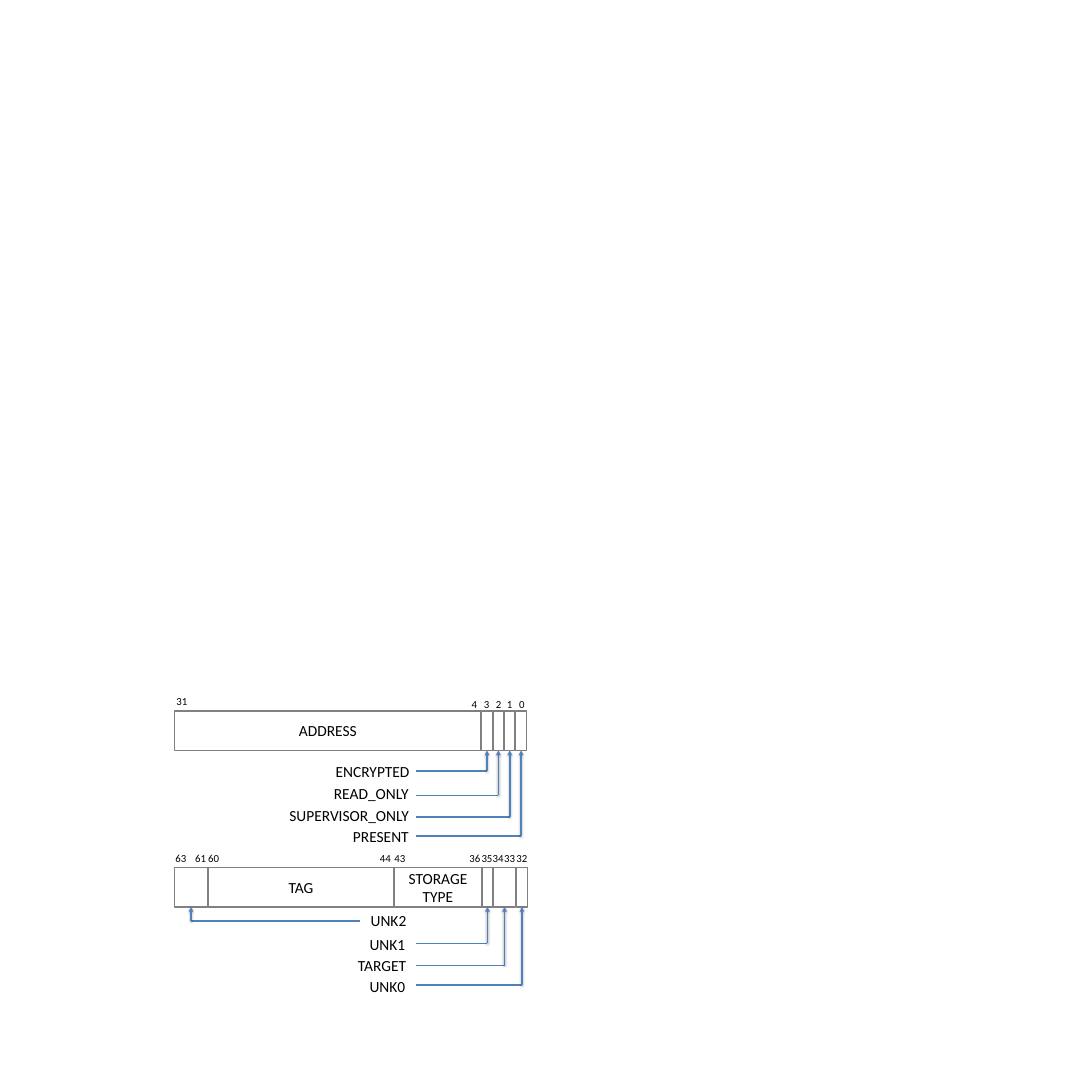
from pptx import Presentation
from pptx.dml.color import RGBColor
from pptx.enum import shapes, text
from pptx.oxml import ns, xmlchemy
from pptx.util import Cm, Pt

WHITE = RGBColor(0xFF, 0xFF, 0xFF)
BLACK = RGBColor(0, 0, 0)
GRAY = RGBColor(0x80, 0x80, 0x80)
BLUE = RGBColor(0x4F, 0x81, 0xBD)
HIGH = 1.8  # height of a register bar

# Registers: bar top, fields (name, left, width),
# bits (number, centre, top), labels (name, centre, top, width, line start, line height)
WORDS = [
    (32.56,
     [("ADDRESS", 8, 14.02), ("ENCRYPTED", 22.05, 0.5), ("READ_ONLY", 22.57, 0.5),
      ("SUPERVISOR_ONLY", 23.09, 0.5), ("PRESENT", 23.61, 0.5)],
     [("31", 8.33, 31.7), ("4", 21.72, 31.8), ("3", 22.28, 31.8), ("2", 22.83, 31.8),
      ("1", 23.34, 31.8), ("0", 23.9, 31.8)],
     [("ENCRYPTED", 17.06, 34.75, 4.2, 19.05, 35.31),
      ("READ_ONLY", 17, 35.79, 4.2, 19.05, 36.42),
      ("SUPERVISOR_ONLY", 15.99, 36.8, 6.63, 19.05, 37.4),
      ("PRESENT", 17.44, 37.74, 4.2, 19.05, 38.28)]),
    (39.73,
     [("UNK2", 8, 1.5), ("TAG", 9.53, 8.5), ("STORAGE\nTYPE", 18.06, 3.99),
      ("UNK1", 22.07, 0.5), ("TARGET", 22.6, 1), ("UNK0", 23.65, 0.5)],
     [("63", 8.28, 38.86), ("61", 9.19, 38.86), ("60", 9.78, 38.86), ("44", 17.65, 38.86),
      ("43", 18.31, 38.86), ("36", 21.74, 38.86), ("35", 22.3, 38.86), ("34", 22.81, 38.86),
      ("33", 23.34, 38.86), ("32", 23.9, 38.86)],
     [("UNK2", 17.79, 41.61, 4.2, 16.48, 42.16),
      ("UNK1", 17.74, 42.67, 4.2, 19.05, 43.2),
      ("TARGET", 17.49, 43.66, 6.63, 19.05, 44.2),
      ("UNK0", 17.74, 44.6, 4.2, 19.05, 45.09)]),
]

deck = Presentation()
deck.slide_width = deck.slide_height = Cm(50)
slide = deck.slides.add_slide(deck.slide_layouts[6])
items = slide.shapes


def write(shape, words, size):
    frame = shape.text_frame
    frame.word_wrap = True
    for i, line in enumerate(words.split("\n")):
        para = frame.add_paragraph() if i else frame.paragraphs[0]
        para.alignment = text.PP_ALIGN.CENTER
        run = para.add_run()
        run.text = line
        run.font.name = "Calibri"
        run.font.size = Pt(size)
        run.font.color.rgb = BLACK


def draw(x1, y1, x2, y2):
    line = items.add_connector(shapes.MSO_CONNECTOR.STRAIGHT, x1, y1, x2, y2)
    line.line.color.rgb = BLUE
    line.line.width = Pt(2)
    return line


for top, fields, bits, labels in WORDS:
    # Fields of the register; those with a label below stay empty
    outer = [label[0] for label in labels]
    bars = {}
    for name, left, width in fields:
        bar = items.add_shape(shapes.MSO_SHAPE.RECTANGLE, Cm(left), Cm(top), Cm(width), Cm(HIGH))
        bar.shadow.inherit = False
        bar.fill.solid()
        bar.fill.fore_color.rgb = WHITE
        bar.line.color.rgb = GRAY
        bar.line.width = Pt(2)
        if name not in outer:
            write(bar, name, 20)
        bars[name] = bar

    # Bit numbers and field labels
    notes = [(name, mid, y, 1.83, 0.84, 14) for name, mid, y in bits]
    notes += [(name, mid, y, width, 1.09, 20) for name, mid, y, width, *_ in labels]
    for name, mid, y, width, height, size in notes:
        box = items.add_textbox(Cm(mid - width / 2), Cm(y), Cm(width), Cm(height))
        write(box, name, size)
        box.text_frame.auto_size = text.MSO_AUTO_SIZE.SHAPE_TO_FIT_TEXT

    # Leaders from each label to its field; only the arrows keep the theme shadow
    for name, *_, start, level in labels:
        bar = bars[name]
        mid = bar.left + bar.width // 2
        lead = draw(Cm(start), Cm(level), mid, Cm(level))
        lead._element.spPr.append(xmlchemy.OxmlElement("a:effectLst"))
        arrow = draw(mid, Cm(level), mid, bar.top + bar.height)
        arrow.end_connect(bar, 2)
        head = xmlchemy.OxmlElement("a:tailEnd")
        head.set("type", "triangle")
        arrow._element.spPr.find(ns.qn("a:ln")).append(head)

deck.save("out.pptx")
